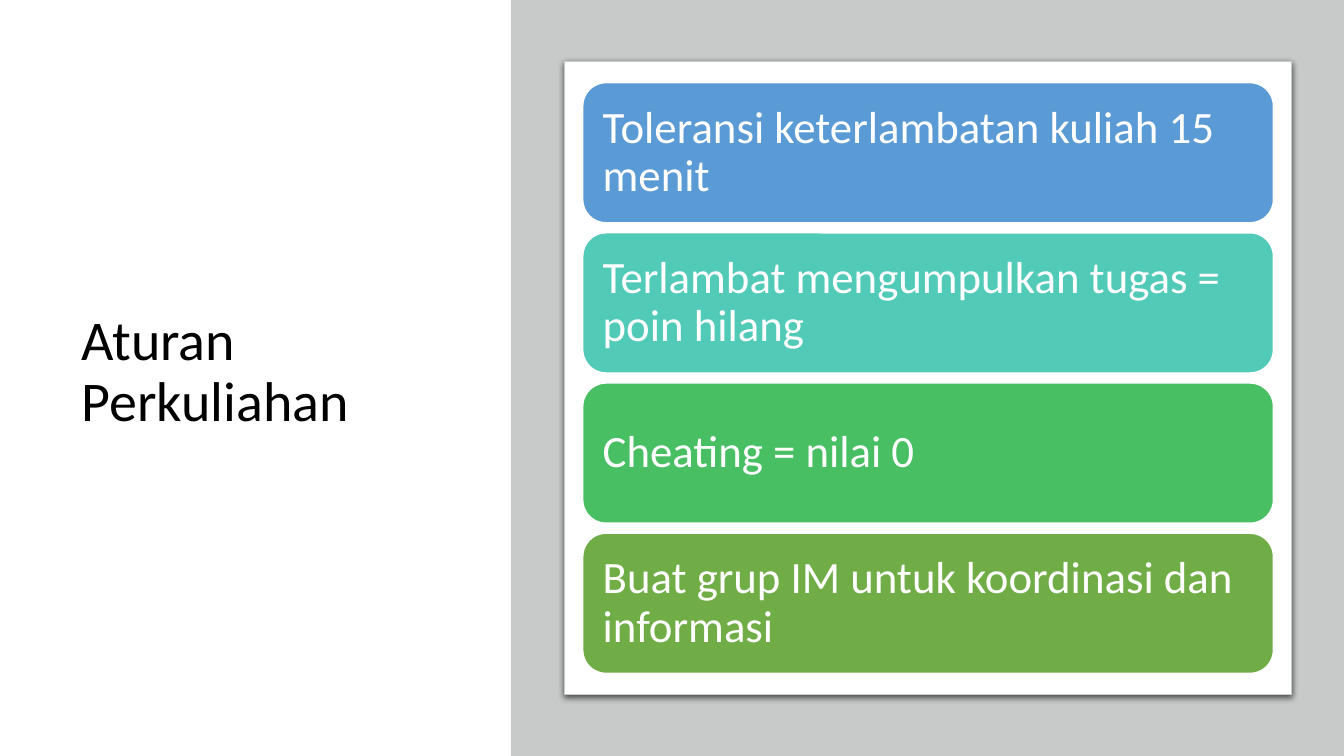
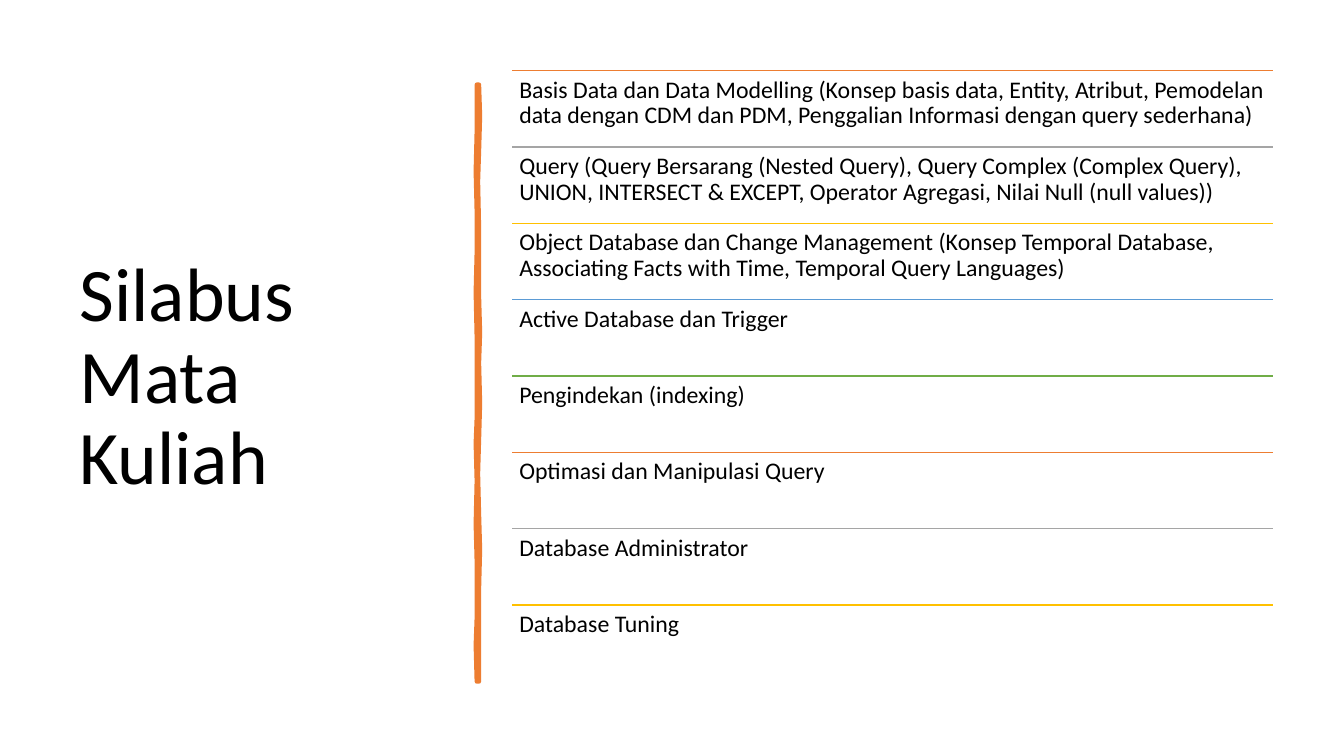
from lxml import etree
from pptx import Presentation
from pptx.dml.color import RGBColor
from pptx.enum.shapes import MSO_CONNECTOR, MSO_SHAPE
from pptx.enum.text import MSO_ANCHOR, PP_ALIGN
from pptx.oxml.ns import qn
from pptx.util import Inches, Pt

RECT, ROUND = MSO_SHAPE.RECTANGLE, MSO_SHAPE.ROUNDED_RECTANGLE
LINE = MSO_CONNECTOR.STRAIGHT
MIDDLE, TOP, LEFT = MSO_ANCHOR.MIDDLE, MSO_ANCHOR.TOP, PP_ALIGN.LEFT

FONT = "Calibri"
BLACK, WHITE, GRAY = "000000", "FFFFFF", "C8CACA"
ORANGE, SILVER, GOLD, BLUE, GREEN = "ED7D31", "A5A5A5", "FFC000", "5B9BD5", "70AD47"
ACCENTS = [ORANGE, SILVER, GOLD, BLUE, GREEN]

RULES = [
    ("Toleransi keterlambatan kuliah 15 menit", BLUE),
    ("Terlambat mengumpulkan tugas = poin hilang", "52CAB8"),
    ("Cheating = nilai 0", "49BF64"),
    ("Buat grup IM untuk koordinasi dan informasi", GREEN),
]
TOPICS = [
    "Basis Data dan Data Modelling (Konsep basis data, Entity, Atribut, "
    "Pemodelan data dengan CDM dan PDM, Penggalian Informasi dengan query sederhana)",
    "Query (Query Bersarang (Nested Query), Query Complex (Complex Query), "
    "UNION, INTERSECT & EXCEPT, Operator Agregasi, Nilai Null (null values))",
    "Object Database dan Change Management (Konsep Temporal Database, "
    "Associating Facts with Time, Temporal Query Languages)",
    "Active Database dan Trigger",
    "Pengindekan (indexing)",
    "Optimasi dan Manipulasi Query",
    "Database Administrator",
    "Database Tuning",
]
# Outline of the hand-drawn bar: down its right edge, then up its left edge
STROKE = [
    (4.75, 0.84), (4.76, 1.15), (4.75, 1.5), (4.74, 1.8), (4.75, 2.26),
    (4.75, 2.94), (4.76, 3.3), (4.75, 3.6), (4.76, 4), (4.75, 4.36),
    (4.74, 4.7), (4.75, 5.1), (4.76, 5.45), (4.75, 5.84), (4.75, 6.76),
    (4.73, 6.76), (4.72, 6.4), (4.73, 6.13), (4.73, 5.57), (4.72, 5.2),
    (4.73, 4.77), (4.72, 4.4), (4.73, 4.15), (4.73, 3.35), (4.72, 2.9),
    (4.73, 2.5), (4.73, 2.1), (4.72, 1.7), (4.73, 1.3), (4.73, 0.84),
]


def color(code):
    return RGBColor.from_string(code)


def write(shape, text, size, code, anchor, pad=None):
    """Put one paragraph in a shape; pad sets all four margins, in inches."""
    frame = shape.text_frame
    frame.word_wrap = True
    frame.vertical_anchor = anchor
    if pad is not None:
        frame.margin_left = frame.margin_right = Inches(pad)
        frame.margin_top = frame.margin_bottom = Inches(pad)
    para = frame.paragraphs[0]
    para.text = text
    para.alignment = LEFT
    para.line_spacing = 0.9
    para.font.name, para.font.size = FONT, Pt(size)
    para.font.color.rgb = color(code)


def add_text(slide, box, *style):
    write(slide.shapes.add_textbox(*map(Inches, box)), *style)


def paint(shape, fill, line=None, width=1):
    shape.shadow.inherit = False
    shape.fill.solid()
    shape.fill.fore_color.rgb = color(fill)
    if line:
        shape.line.color.rgb = color(line)
        shape.line.width = Pt(width)
    else:
        shape.line.fill.background()


def add_box(slide, kind, box, *style):
    shape = slide.shapes.add_shape(kind, *map(Inches, box))
    paint(shape, *style)
    return shape


def add_shadow(shape):
    """Fill the empty effect list with a soft shadow cast downwards."""
    effects = shape._element.spPr.find(qn("a:effectLst"))
    shadow = etree.SubElement(
        effects, qn("a:outerShdw"), blurRad=str(Pt(4.5)), dist=str(Pt(1.5)),
        dir="5400000", algn="t", rotWithShape="0")
    tint = etree.SubElement(shadow, qn("a:srgbClr"), val=BLACK)
    etree.SubElement(tint, qn("a:alpha"), val="63000")


def add_rule(slide, left, top, width, code):
    line = slide.shapes.add_connector(
        LINE, Inches(left), Inches(top), Inches(left + width), Inches(top))
    line.line.color.rgb = color(code)
    line.line.width = Pt(1)
    etree.SubElement(line._element.spPr, qn("a:effectLst"))


def add_slide(deck, title, box, size):
    slide = deck.slides.add_slide(deck.slide_layouts[6])
    add_text(slide, box, title, size, BLACK, MIDDLE)
    return slide


def build_rules(deck):
    slide = add_slide(deck, "Aturan Perkuliahan", (0.71, 0.69, 4.01, 6.02), 40)
    add_box(slide, RECT, (5.07, 0, 8.26, 7.5), GRAY)
    add_shadow(add_box(slide, RECT, (5.6, 0.61, 7.21, 6.28), WHITE, GRAY, 0.75))
    top, high, gap = 0.82, 1.39, 0.1
    for i, (text, fill) in enumerate(RULES):
        box = (5.78, top + i * (high + gap), 6.85, high)
        card = add_box(slide, ROUND, box, fill, WHITE)
        write(card, text, 32, WHITE, MIDDLE, 0.13)


def build_topics(deck):
    slide = add_slide(deck, "Silabus Mata Kuliah", (0.69, 0.7, 3.74, 6.11), 54)
    points = [(Inches(x), Inches(y)) for x, y in STROKE]
    pen = slide.shapes.build_freeform(*points[0])
    pen.add_line_segments(points[1:], close=True)
    paint(pen.convert_to_shape(), ORANGE, ORANGE, 3.25)
    left, top, width, total = 5.08, 0.7, 7.55, 6.06
    step = total / len(TOPICS)
    for i, text in enumerate(TOPICS):
        y = top + i * step
        add_rule(slide, left, y, width, ACCENTS[i % len(ACCENTS)])
        add_text(slide, (left, y, width, step), text, 17, BLACK, TOP, 0.07)


def main():
    deck = Presentation()
    deck.slide_width, deck.slide_height = Inches(13.33), Inches(7.5)
    build_rules(deck)
    build_topics(deck)
    deck.save("out.pptx")


if __name__ == "__main__":
    main()
